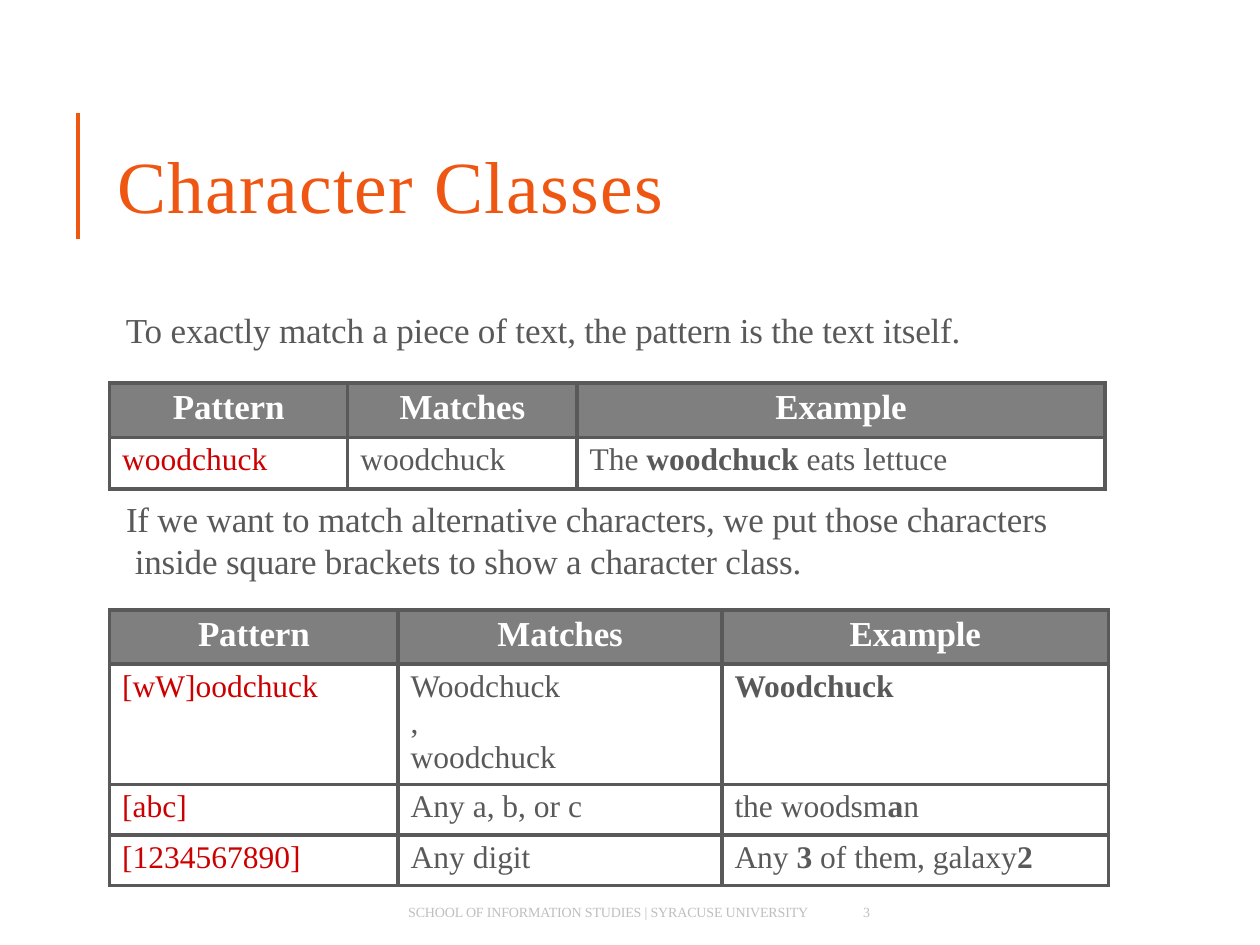
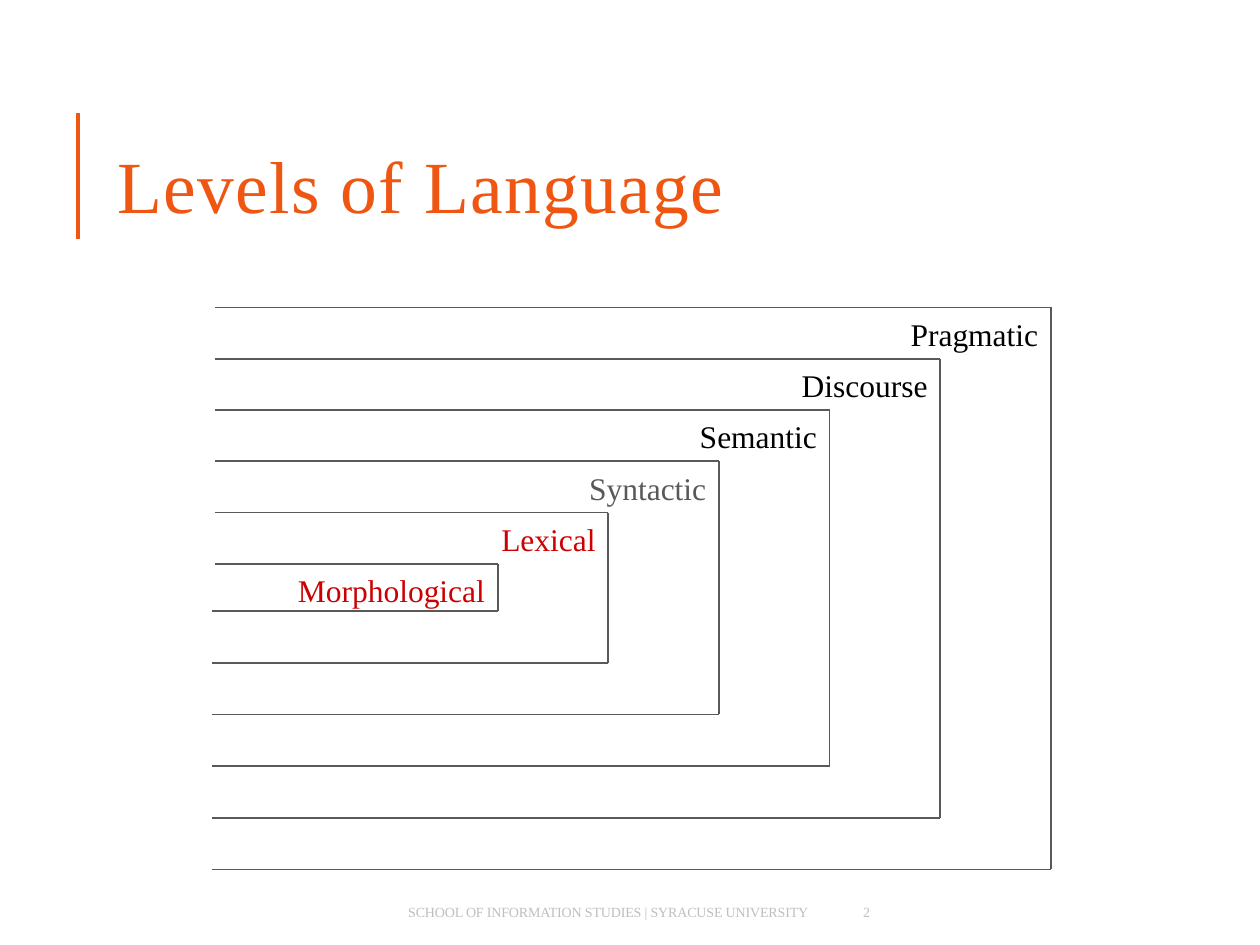
"""Build two lecture slides on character classes and levels of language."""
from lxml import etree
from pptx import Presentation
from pptx.dml.color import RGBColor
from pptx.enum.shapes import MSO_CONNECTOR
from pptx.enum.text import MSO_ANCHOR, PP_ALIGN
from pptx.oxml.ns import qn
from pptx.util import Inches, Pt

STRAIGHT = MSO_CONNECTOR.STRAIGHT
TOP, BOTTOM = MSO_ANCHOR.TOP, MSO_ANCHOR.BOTTOM
LEFT, CENTER, RIGHT = PP_ALIGN.LEFT, PP_ALIGN.CENTER, PP_ALIGN.RIGHT

WIDTH, HEIGHT = Inches(10), Inches(7.5)
COLUMNS, ROWS = 100, 75
TITLE_ONLY = 5
FONT = "Times New Roman"
ORANGE, GRAY, RED, BLACK = "EE5612", "595959", "CC0000", "000000"
WHITE, HEADER_GRAY, FOOTER_GRAY = "FFFFFF", "7F7F7F", "BFBFBF"

TITLE = {"size": 42, "color": ORANGE, "spacing": 0.8}
BODY = {"size": 20, "color": GRAY, "spacing": -0.1}
HEADER = {"size": 20, "color": WHITE, "spacing": -0.1, "bold": True}
CELL = {"size": 18, "color": GRAY}
PATTERN = {"size": 18, "color": RED}
FOOTER = {"size": 8, "color": FOOTER_GRAY, "spacing": -0.1}


def color(hex_string):
    """Turn a hex string into a colour."""
    return RGBColor.from_string(hex_string)


def column(count):
    """Give the length of a number of grid columns."""
    return round(WIDTH * count / COLUMNS)


def row(count):
    """Give the length of a number of grid rows."""
    return round(HEIGHT * count / ROWS)


def set_all(target, values):
    """Set attributes of an object from a dict."""
    for name, value in values.items():
        setattr(target, name, value)


class Deck:
    """Hold the shared style and the current slide."""

    def __init__(self):
        """Start a presentation of the right size."""
        self.presentation = Presentation()
        set_all(self.presentation, {"slide_width": WIDTH, "slide_height": HEIGHT})
        self.slide = None

    def add_slide(self, title, number):
        """Add a slide with its title, accent bar and footer."""
        layout = self.presentation.slide_layouts[TITLE_ONLY]
        self.slide = self.presentation.slides.add_slide(layout)
        self.line((6.2, 19), (6.2, 9), ORANGE, 2)
        shape = self.slide.shapes.title
        set_all(shape, {"left": column(9.3), "top": row(10.8),
                        "width": column(80), "height": row(7.3)})
        self.frame(shape.text_frame, title, TITLE, anchor=BOTTOM)
        self.text((32.4, 71.6, 34, 1.5),
                  "SCHOOL OF INFORMATION STUDIES | SYRACUSE UNIVERSITY", FOOTER)
        self.text((68.5, 71.6, 2, 1.5), str(number), FOOTER)

    def fill_paragraph(self, paragraph, text, style, align=LEFT, line_spacing=None):
        """Put text in a paragraph, with double asterisks around bold parts."""
        set_all(paragraph, {"alignment": align, "line_spacing": line_spacing})
        for index, part in enumerate(text.split("**")):
            if not part:
                continue
            for line_index, line in enumerate(part.split("\n")):
                if line_index:
                    paragraph.add_line_break()
                run = paragraph.add_run()
                run.text = line
                bold = style.get("bold", False) or index % 2 == 1
                set_all(run.font, {"name": FONT, "size": Pt(style["size"]), "bold": bold})
                run.font.color.rgb = color(style["color"])
                spacing = round(style.get("spacing", 0) * 100)
                run._r.get_or_add_rPr().set("spc", str(spacing))

    def frame(self, text_frame, text, style, align=LEFT, anchor=TOP):
        """Fill a text frame without margins."""
        set_all(text_frame, {"margin_left": 0, "margin_top": row(0.1), "margin_right": 0,
                             "margin_bottom": 0, "word_wrap": True,
                             "vertical_anchor": anchor})
        self.fill_paragraph(text_frame.paragraphs[0], text, style, align)

    def text(self, place, text, style, align=LEFT, hanging=0):
        """Add a text box, with an optional hanging indent in columns."""
        left, top, width, height = place
        shape = self.slide.shapes.add_textbox(column(left), row(top),
                                              column(width), row(height))
        self.frame(shape.text_frame, text, style, align)
        if hanging:
            properties = shape.text_frame.paragraphs[0]._p.get_or_add_pPr()
            properties.set("marL", str(column(hanging)))
            properties.set("indent", str(-column(hanging)))

    def line(self, start, end, line_color=GRAY, width=1):
        """Draw a straight line between two grid points."""
        connector = self.slide.shapes.add_connector(
            STRAIGHT, column(start[0]), row(start[1]), column(end[0]), row(end[1]))
        connector.line.color.rgb = color(line_color)
        connector.line.width = Pt(width)
        etree.SubElement(connector._element.spPr, qn("a:effectLst"))

    def border(self, cell):
        """Draw the four borders of a table cell."""
        properties = cell._tc.get_or_add_tcPr()
        for side in ("lnL", "lnR", "lnT", "lnB"):
            edge = etree.SubElement(properties, qn(f"a:{side}"), w=str(Pt(2.25)))
            fill = etree.SubElement(edge, qn("a:solidFill"))
            etree.SubElement(fill, qn("a:srgbClr"), val=GRAY)

    def table(self, left, top, widths, heights, records):
        """Add a pattern table under the common header."""
        records = [("Pattern", "Matches", "Example"), *records]
        table = self.slide.shapes.add_table(
            len(records), len(widths), column(left), row(top),
            column(sum(widths)), row(sum(heights))).table
        set_all(table, {"first_row": False, "horz_banding": False})
        for index, width in enumerate(widths):
            table.columns[index].width = column(width)
        for row_index, (height, record) in enumerate(zip(heights, records)):
            table.rows[row_index].height = row(height)
            for column_index, text in enumerate(record):
                cell = table.cell(row_index, column_index)
                set_all(cell, {"margin_left": column(1), "margin_right": 0,
                               "margin_top": row(0.4), "margin_bottom": 0})
                self.border(cell)
                paragraph = cell.text_frame.paragraphs[0]
                if row_index == 0:
                    cell.margin_left = 0
                    cell.fill.solid()
                    cell.fill.fore_color.rgb = color(HEADER_GRAY)
                    self.fill_paragraph(paragraph, text, HEADER, CENTER)
                else:
                    cell.fill.background()
                    style = CELL if column_index else PATTERN
                    spacing = 1.02 if "\n" in text else None
                    self.fill_paragraph(paragraph, text, style, line_spacing=spacing)

    def level(self, index, name, text_color):
        """Draw one open bracket of the nested levels with its label."""
        right = 83.4 - 8.78 * index
        top = 24.4 + 4.07 * index
        bottom = 69 - 4.1 * index
        self.line((17.1, top), (right, top))
        self.line((right, top), (right, bottom))
        self.line((right, bottom), (16.8, bottom))
        self.text((right - 21, top + 0.5, 20, 3), name,
                  {"size": 18, "color": text_color}, RIGHT)


def character_classes(deck):
    """Build the slide on character classes."""
    deck.add_slide("Character Classes", 3)
    deck.text((10, 24.4, 75, 3.6),
              "To exactly match a piece of text, the pattern is the text itself.", BODY)
    deck.table(8.7, 30.4, (18.9, 18.2, 41.9), (4.3, 4.1),
               [("woodchuck", "woodchuck", "The **woodchuck** eats lettuce")])
    deck.text((10, 39.4, 74.1, 6.9),
              "If we want to match alternative characters, we put those characters "
              "inside square brackets to show a character class.", BODY, hanging=0.7)
    deck.table(8.7, 48.4, (22.9, 25.7, 30.7), (4.3, 7, 4, 4), [
        ("[wW]oodchuck", "Woodchuck\n,\nwoodchuck", "**Woodchuck**"),
        ("[abc]", "Any a, b, or c", "the woodsm**a**n"),
        ("[1234567890]", "Any digit", "Any **3** of them, galaxy**2**"),
    ])


def levels_of_language(deck):
    """Build the slide on the nested levels of language."""
    deck.add_slide("Levels of Language", 2)
    levels = (("Pragmatic", BLACK), ("Discourse", BLACK), ("Semantic", BLACK),
              ("Syntactic", GRAY), ("Lexical", RED), ("Morphological", RED))
    for index, (name, text_color) in enumerate(levels):
        deck.level(index, name, text_color)


def main():
    """Build and save the presentation."""
    deck = Deck()
    character_classes(deck)
    levels_of_language(deck)
    deck.presentation.save("out.pptx")


if __name__ == "__main__":
    main()
